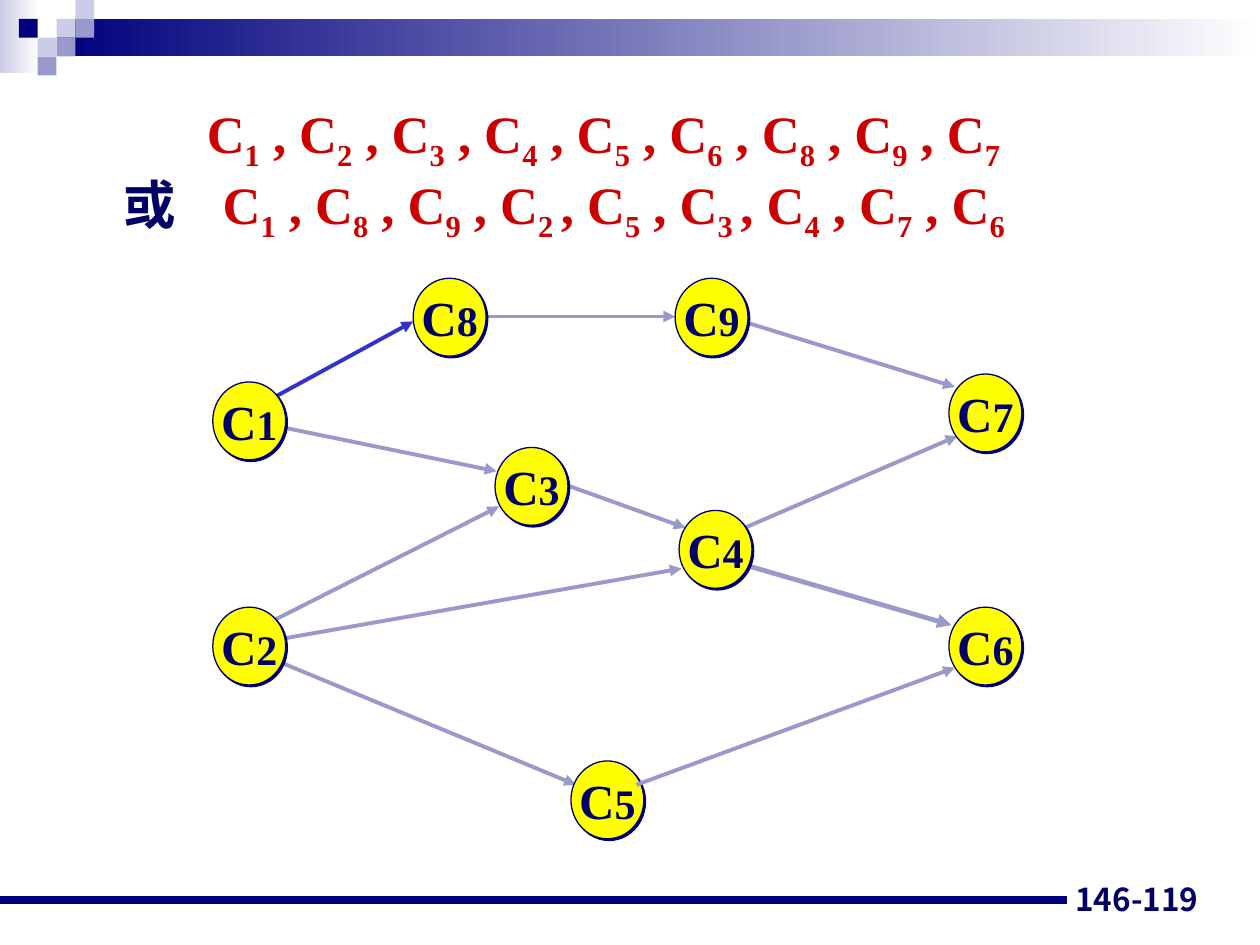
from lxml import etree
from pptx import Presentation
from pptx.dml.color import RGBColor
from pptx.enum.shapes import MSO_CONNECTOR as CONN, MSO_SHAPE as SHAPE
from pptx.enum.text import MSO_ANCHOR as ANCHOR, PP_ALIGN as ALIGN
from pptx.oxml import parse_xml
from pptx.oxml.ns import nsdecls, qn
from pptx.util import Cm, Pt

SERIF, SANS = "Times New Roman", "Noto Sans CJK JP"
NAVY, INK, RED, YELLOW = "00007D", "000066", "CC0000", "FFFF00"
LILAC, PALE, BLUE, WHITE = "9999CC", "CCCCE6", "3333CC", "FFFFFF"

BANDS = [(0, 0, 0.79, 1.47, PALE), (1.14, 0.38, 24.26, 0.76, NAVY)]
STEP = 0.38
SQUARES = [(3, 1, PALE), (4, 0, PALE), (4, 1, LILAC), (2, 2, PALE),
           (1, 1, NAVY), (3, 2, LILAC), (2, 3, LILAC)]

ORDERS = [
    ("", ["1", "2", "3", "4", "5", "6", "8", "9", "7"], 2.65, 0),
    ("或", ["1", "8", "9", "2 ", "5", "3 ", "4", "7", "6"], 2.97, -2),
]

NODE_W, NODE_H = 1.47, 1.57
NODES = {
    "8": (8.33, 5.61), "3": (9.98, 9.02), "5": (11.51, 15.34),
    "4": (13.69, 10.29), "9": (13.61, 5.61), "6": (19.13, 12.24),
    "7": (19.13, 7.54), "1": (4.29, 7.7), "2": (4.29, 12.24),
}
EDGES = [
    (5.38, 12.93, 13.74, 11.46, LILAC, 2.25),
    (11.28, 9.73, 13.82, 10.64, LILAC, 2.25),
    (14.88, 6.45, 19.25, 7.8, LILAC, 2.25),
    (14.71, 10.77, 19.3, 8.79, LILAC, 2.25),
    (9.17, 6.38, 13.61, 6.38, LILAC, 2.25),
    (14.99, 11.38, 19.18, 12.6, LILAC, 2.75),
    (5.36, 13.23, 11.61, 15.82, LILAC, 2.25),
    (5.33, 12.6, 10.06, 10.21, LILAC, 2.25),
    (4.7, 8.41, 10.01, 9.5, LILAC, 2.25),
    (5.36, 8.1, 8.33, 6.48, BLUE, 2.25),
]
FRONT_EDGE = (12.83, 15.82, 19.25, 13.46, LILAC, 2.25)


def rgb(value):
    return RGBColor.from_string(value)


def set_font(font, name, size, color):
    font.name, font.size, font.bold = name, Pt(size), True
    font.color.rgb = rgb(color)


def add_block(kind, x, y, w, h):
    sp = s.shapes.add_shape(kind, Cm(x), Cm(y), Cm(w), Cm(h))
    sp.shadow.inherit = False
    sp.line.fill.background()
    return sp


def add_band(x, y, w, h, color):
    fill = add_block(SHAPE.RECTANGLE, x, y, w, h).fill
    fill.gradient()
    fill.gradient_angle = 0
    for stop, position, tone in zip(fill.gradient_stops, (0, 1), (color, WHITE)):
        stop.position = position
        stop.color.rgb = rgb(tone)


def add_square(col, row, color):
    sp = add_block(SHAPE.RECTANGLE, col * STEP, row * STEP, STEP, STEP)
    sp.fill.solid()
    sp.fill.fore_color.rgb = rgb(color)


def add_line(x1, y1, x2, y2, color, width, arrow=True):
    cn = s.shapes.add_connector(CONN.STRAIGHT, Cm(x1), Cm(y1), Cm(x2), Cm(y2))
    cn.line.color.rgb = rgb(color)
    cn.line.width = Pt(width)
    if arrow:
        etree.SubElement(cn.line._get_or_add_ln(), qn("a:tailEnd"), type="triangle")
    etree.SubElement(cn._element.spPr, qn("a:effectLst"))


def add_node(number, x, y):
    sp = add_block(SHAPE.OVAL, x, y, NODE_W, NODE_H)
    sp.fill.solid()
    sp.fill.fore_color.rgb = rgb(YELLOW)
    sp.line.color.rgb = rgb(INK)
    sp.line.width = Pt(0.75)
    effects = sp._element.spPr.find(qn("a:effectLst"))
    effects.append(parse_xml(
        f'<a:outerShdw {nsdecls("a")} blurRad="0" dist="{Pt(1.4)}" dir="2700000" '
        f'algn="ctr" rotWithShape="0"><a:srgbClr val="{NAVY}"/></a:outerShdw>'))
    tf = sp.text_frame
    tf.word_wrap = False
    tf.vertical_anchor = ANCHOR.MIDDLE
    p = tf.paragraphs[0]
    p.alignment = ALIGN.CENTER
    for text, size in (("C", 28), (number, 24)):
        r = p.add_run()
        r.text = text
        set_font(r.font, SERIF, size, INK)


def add_textbox(x, y, w, h):
    tf = s.shapes.add_textbox(Cm(x), Cm(y), Cm(w), Cm(h)).text_frame
    tf.word_wrap = True
    return tf


def add_text(p, text, color, lowered=False):
    r = p.add_run()
    r.text = text
    set_font(r.font, SERIF, 30, color)
    if lowered:
        r._r.get_or_add_rPr().set("baseline", "-25000")
    return r


def fill_order(p, label, numbers, margin, indent):
    p.line_spacing = Pt(40.5)
    pPr = p._p.get_or_add_pPr()
    pPr.set("marL", str(Cm(margin)))
    pPr.set("indent", str(Cm(indent)))
    if label:
        r = add_text(p, label + "\t", INK)
        etree.SubElement(r._r.get_or_add_rPr(), qn("a:ea"), typeface=SANS)
    lead = "C"
    for number in numbers:
        add_text(p, lead, RED)
        add_text(p, number, RED, lowered=True)
        lead = ", C" if number.endswith(" ") else " , C"


prs = Presentation()
prs.slide_width, prs.slide_height = Cm(25.4), Cm(19.05)
s = prs.slides.add_slide(prs.slide_layouts[6])

for band in BANDS:
    add_band(*band)
for square in SQUARES:
    add_square(*square)
add_line(0, 18.14, 21.51, 18.14, NAVY, 4.5, arrow=False)

tf = add_textbox(18.49, 17.35, 5.92, 1.27)
tf.vertical_anchor = ANCHOR.BOTTOM
p = tf.paragraphs[0]
p.text = "146-119"
p.alignment = ALIGN.RIGHT
set_font(p.font, SANS, 18, INK)

tf = add_textbox(1.27, 1.93, 22.86, 3.45)
for i, order in enumerate(ORDERS):
    fill_order(tf.add_paragraph() if i else tf.paragraphs[0], *order)

for edge in EDGES:
    add_line(*edge)
for number, (x, y) in NODES.items():
    add_node(number, x, y)
add_line(*FRONT_EDGE)

prs.save("out.pptx")
